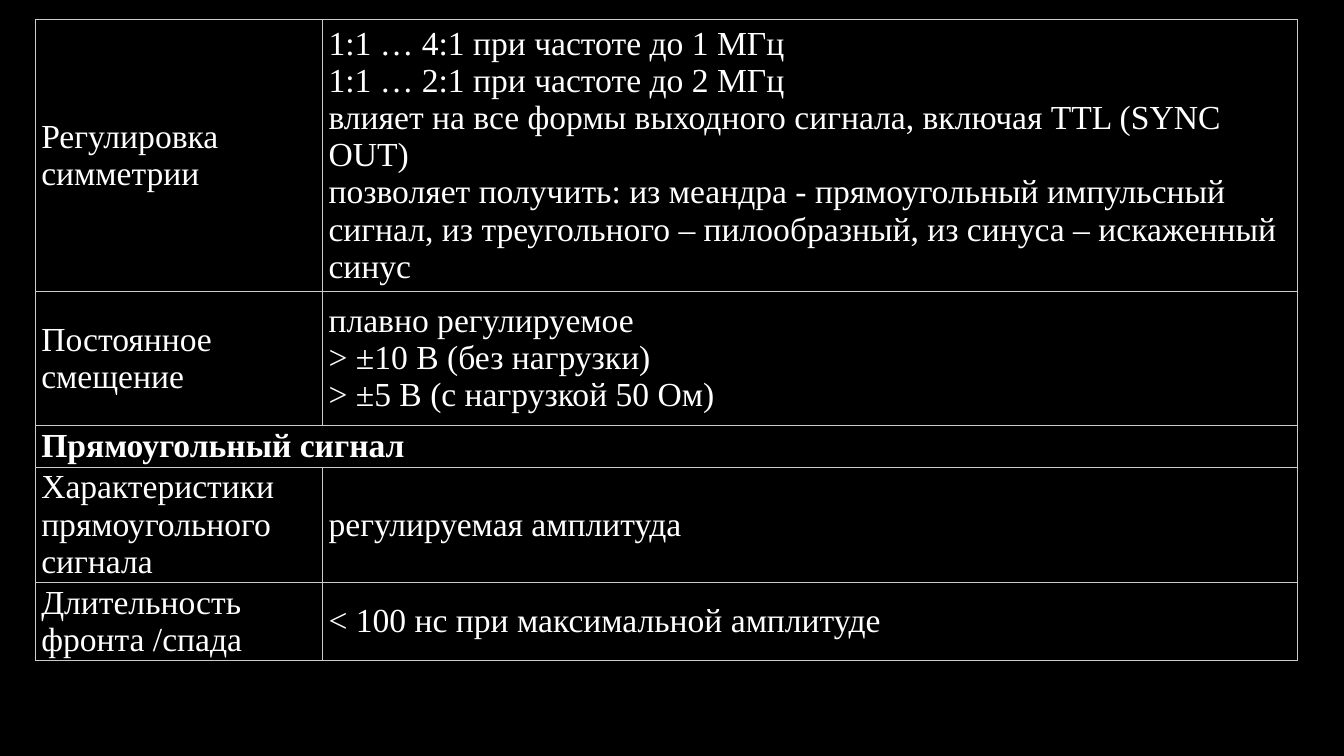
"""Build a slide with a table of signal generator characteristics."""
import pptx
import pptx.dml.color
import pptx.enum.text
import pptx.oxml
import pptx.oxml.ns
import pptx.util

Cm = pptx.util.Cm
theme = {
    "background": "000000",
    "text": "FFFFFF",
    "border": "CCCCCC",
    "font": "Times New Roman",
    "size": pptx.util.Pt(24),
    "border_width": pptx.util.Pt(0.6),
}
rows = [
    (6.83, "Регулировка симметрии",
     "1:1 … 4:1 при частоте до 1 МГц\n"
     "1:1 … 2:1 при частоте до 2 МГц\n"
     "влияет на все формы выходного сигнала, включая TTL (SYNC OUT)\n"
     "позволяет получить: из меандра - прямоугольный импульсный сигнал, "
     "из треугольного – пилообразный, из синуса – искаженный синус"),
    (3.4, "Постоянное смещение",
     "плавно регулируемое\n> ±10 В (без нагрузки)\n> ±5 В (с нагрузкой 50 Ом)"),
    (0.69, "Прямоугольный сигнал", None),
    (1.78, "Характеристики прямоугольного сигнала", "регулируемая амплитуда"),
    (1.78, "Длительность фронта /спада", "< 100 нс при максимальной амплитуде"),
]
column_widths = [7.24, 24.56]


def add_borders(cell):
    """Draw a thin line on each side of a cell."""
    tcPr = cell._tc.get_or_add_tcPr()
    for i, side in enumerate(("lnL", "lnR", "lnT", "lnB")):
        line = pptx.oxml.parse_xml(
            f'<a:{side} {pptx.oxml.ns.nsdecls("a")} w="{theme["border_width"]}">'
            f'<a:solidFill><a:srgbClr val="{theme["border"]}"/></a:solidFill></a:{side}>')
        tcPr.insert(i, line)


prs = pptx.Presentation()
prs.slide_width, prs.slide_height = Cm(33.87), Cm(19.05)
s = prs.slides.add_slide(prs.slide_layouts[6])
s.background.fill.solid()
s.background.fill.fore_color.rgb = pptx.dml.color.RGBColor.from_string(theme["background"])

table = s.shapes.add_table(
    len(rows), len(column_widths), Cm(0.89), Cm(0.5),
    Cm(sum(column_widths)), Cm(sum(row[0] for row in rows))).table
table.first_row = table.horz_banding = False
for column, width in zip(table.columns, column_widths):
    column.width = Cm(width)

for i, (height, label, value) in enumerate(rows):
    table.rows[i].height = Cm(height)
    is_heading = value is None
    if is_heading:
        table.cell(i, 0).merge(table.cell(i, 1))
    for j, text in enumerate((label, value)):
        cell = table.cell(i, j)
        cell.fill.background()
        add_borders(cell)
        if text is None:
            continue
        cell.vertical_anchor = pptx.enum.text.MSO_ANCHOR.MIDDLE
        cell.margin_left, cell.margin_right = Cm(0.15), Cm(0.48)
        cell.margin_top = cell.margin_bottom = Cm(0.05)
        tf = cell.text_frame
        tf.text = text
        for p in tf.paragraphs:
            for r in p.runs:
                r.font.name = theme["font"]
                r.font.size = theme["size"]
                r.font.bold = is_heading
                r.font.color.rgb = pptx.dml.color.RGBColor.from_string(theme["text"])

prs.save("out.pptx")
